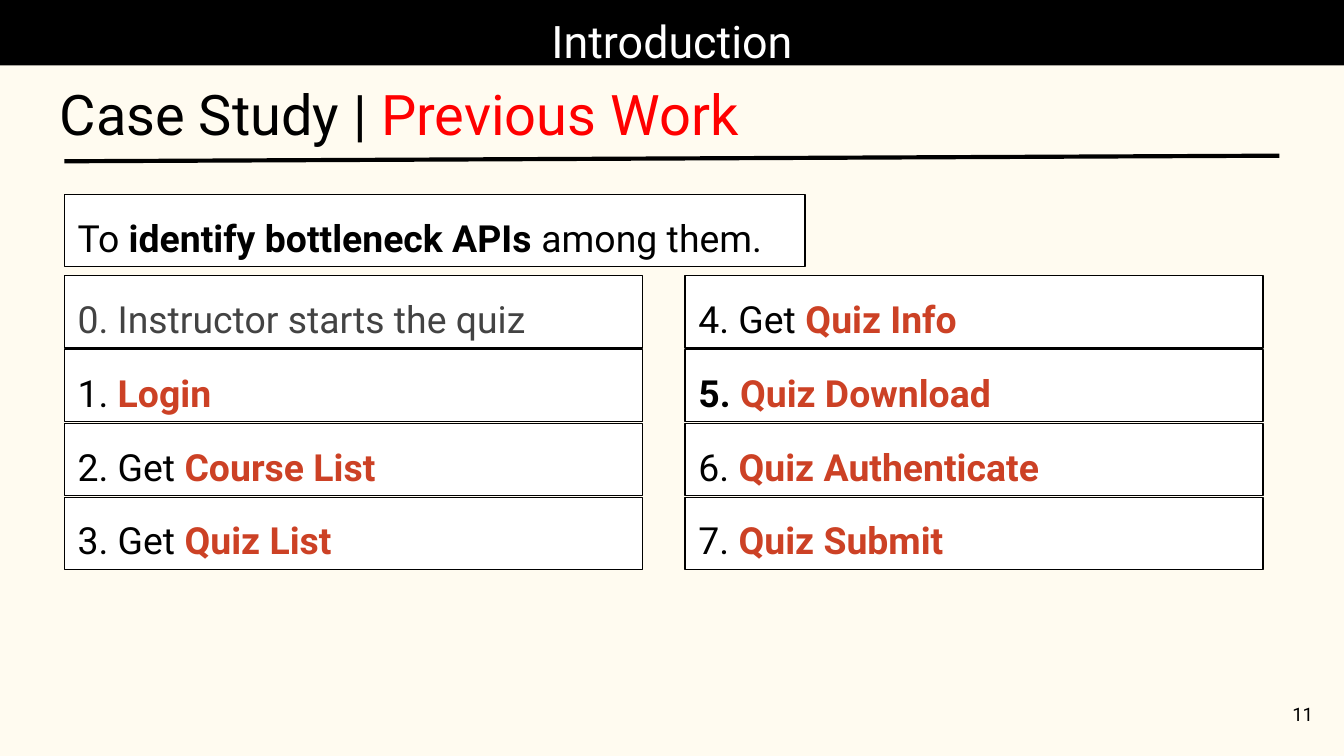
from pptx import Presentation
from pptx.dml.color import RGBColor
from pptx.enum import shapes, text
from pptx.oxml.ns import qn
from pptx.util import Pt
from lxml import etree

COLORS = {
    "background": "FFFBF0",
    "black": "000000",
    "white": "FFFFFF",
    "grey": "434343",
    "red": "FF0000",
    "accent": "CC4125",
}
FONT = "Roboto"
LEFT = 34.5
BOX_HEIGHT = 38.7

# Each step is a list of runs: (text, colour, bold)
STEPS = [
    [
        [("0. Instructor starts the quiz", "grey", False)],
        [("1. ", "black", False), ("Login", "accent", True)],
        [("2. Get ", "black", False), ("Course List", "accent", True)],
        [("3. Get ", "black", False), ("Quiz List", "accent", True)],
    ],
    [
        [("4. Get", "black", False), (" Quiz Info", "accent", True)],
        [("5. ", "black", True), ("Quiz Download", "accent", True)],
        [("6. ", "black", False), ("Quiz Authenticate", "accent", True)],
        [("7. ", "black", False), ("Quiz Submit", "accent", True)],
    ],
]
GOAL = [
    ("To ", "black", False),
    ("identify bottleneck APIs", "black", True),
    (" among them.", "black", False),
]


def rgb(name):
    return RGBColor.from_string(COLORS[name])


def write(sp, runs, size, align="LEFT", anchor="TOP", **spacing):
    tf = sp.text_frame
    frame = {
        "word_wrap": True,
        "auto_size": text.MSO_AUTO_SIZE.NONE,
        "vertical_anchor": text.MSO_ANCHOR[anchor],
    }
    for side in ("left", "top", "right", "bottom"):
        frame[f"margin_{side}"] = Pt(7.2)
    for name, value in frame.items():
        setattr(tf, name, value)
    p = tf.paragraphs[0]
    p.alignment = text.PP_ALIGN[align]
    for name, value in spacing.items():
        setattr(p, name, value)
    for words, color, bold in runs:
        r = p.add_run()
        r.text = words
        for name, value in {"name": FONT, "size": Pt(size), "bold": bold}.items():
            setattr(r.font, name, value)
        r.font.color.rgb = rgb(color)


def add_rect(s, box, fill, line=None):
    sp = s.shapes.add_shape(shapes.MSO_SHAPE.RECTANGLE, *map(Pt, box))
    sp.shadow.inherit = False
    sp.fill.solid()
    sp.fill.fore_color.rgb = rgb(fill)
    if line:
        sp.line.color.rgb = rgb(line)
        sp.line.width = Pt(0.75)
    else:
        sp.line.fill.background()
    return sp


def add_title(s, box):
    sp = s.shapes.title
    for name, value in zip(("left", "top", "width", "height"), box):
        setattr(sp, name, Pt(value))
    write(sp, [("Case Study | ", "black", False), ("Previous Work", "red", False)], 30)


def add_rule(s, start, end):
    line = s.shapes.add_connector(
        shapes.MSO_CONNECTOR.STRAIGHT, *map(Pt, start + end))
    line.line.color.rgb = rgb("black")
    line.line.width = Pt(2.25)
    etree.SubElement(line._element.spPr, qn("a:effectLst"))


def add_text_box(s, box, runs):
    sp = add_rect(s, box, "white", "black")
    write(sp, runs, 20, line_spacing=1.15, space_after=Pt(16))


def add_steps(s, box):
    left, top, width, height = box
    gap = 23
    column_width = (width - gap) / 2
    pitch = (height - BOX_HEIGHT) / (len(STEPS[0]) - 1)
    for i, column in enumerate(STEPS):
        for j, runs in enumerate(column):
            x = left + i * (column_width + gap)
            add_text_box(s, (x, top + j * pitch, column_width, BOX_HEIGHT), runs)


def add_header(s, box):
    sp = add_rect(s, box, "black")
    write(sp, [("Introduction", "white", False)], 24, "CENTER")


def add_page_number(s, box):
    sp = s.shapes.add_textbox(*map(Pt, box))
    write(sp, [("11", "black", False)], 10, "RIGHT", "MIDDLE")


def main():
    prs = Presentation()
    prs.slide_width, prs.slide_height = Pt(720), Pt(405)
    s = prs.slides.add_slide(prs.slide_layouts[5])
    s.background.fill.solid()
    s.background.fill.fore_color.rgb = rgb("background")

    # Title and rule
    add_title(s, (24.8, 35.3, 652, 48))
    add_rule(s, (LEFT, 86.4), (685.4, 83.4))

    # Goal and quiz steps
    add_text_box(s, (LEFT, 104.2, 396.7, BOX_HEIGHT), GOAL)
    add_steps(s, (LEFT, 147.7, 642.2, 157.5))

    # Header bar and page number
    add_header(s, (0, 0, 720, 35))
    add_page_number(s, (667.4, 367.2, 43.2, 31))

    prs.save("out.pptx")


if __name__ == "__main__":
    main()
